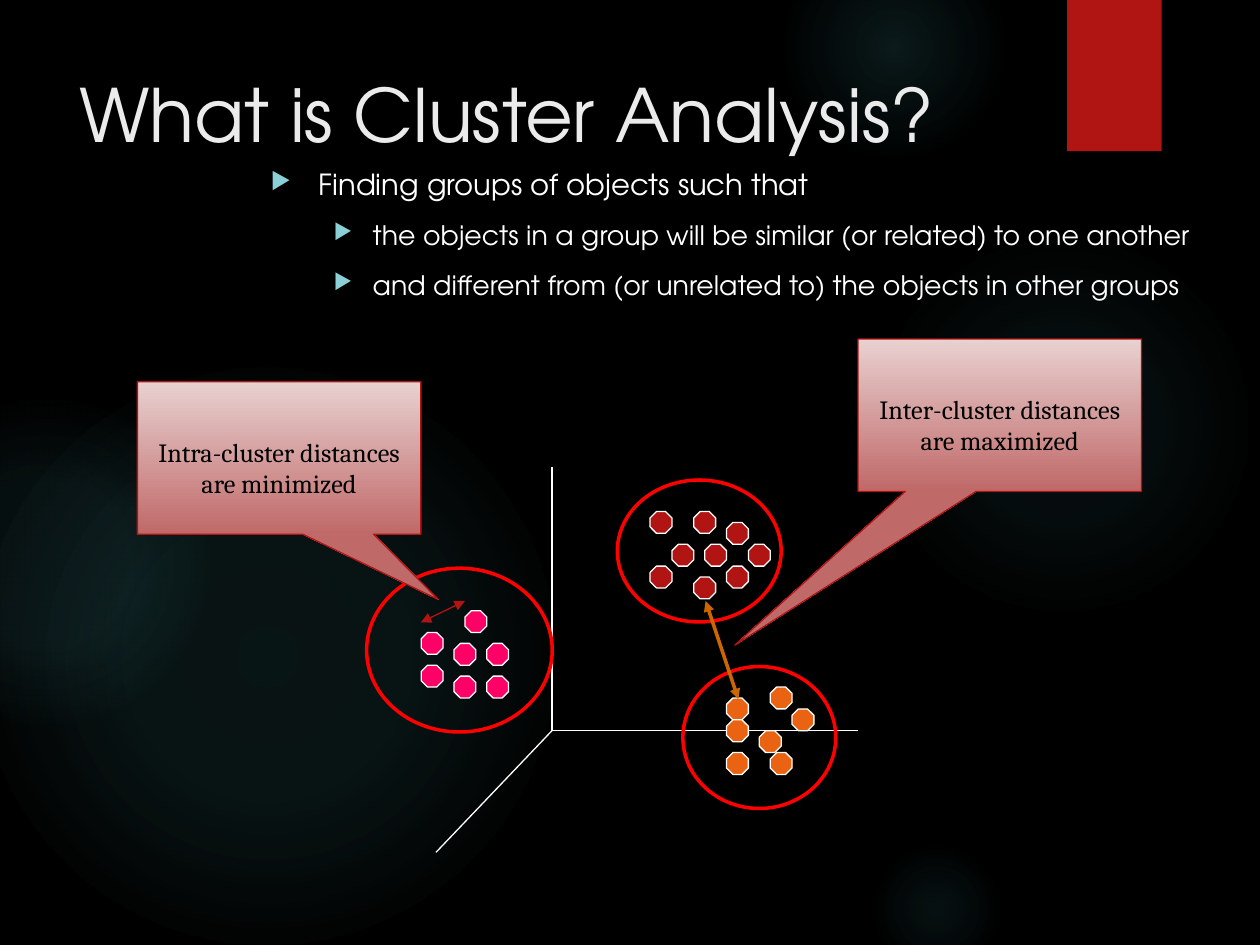
from lxml import etree
from pptx import Presentation
from pptx import util as u
from pptx.dml.color import RGBColor
from pptx.enum import shapes, text
from pptx.oxml import parse_xml
from pptx.oxml.ns import qn

BLACK = RGBColor(0, 0, 0)
WHITE = RGBColor(255, 255, 255)
PALE = RGBColor(0xEB, 0xEB, 0xEB)
RED = RGBColor(0xB0, 0x15, 0x13)
RING = RGBColor(255, 0, 0)
PINK = RGBColor(255, 0, 0x66)
ORANGE = RGBColor(0xEA, 0x63, 0x12)
BROWN = RGBColor(0xCC, 0x66, 0)
TEAL = RGBColor(0x50, 0xB9, 0xC1)
AQUA = RGBColor(0x8A, 0xD0, 0xD6)
ROSE = RGBColor(0xE8, 0xD1, 0xD0)
CLAY = RGBColor(0xC0, 0x69, 0x69)
SANS, SERIF = "TeX Gyre Adventor", "Cambria"
NS = 'xmlns:a="http://schemas.openxmlformats.org/drawingml/2006/main"'
KIND = shapes.MSO_SHAPE

# The slide is a grid of 100 columns by 75 rows of square cells.
prs = Presentation()
prs.slide_width, prs.slide_height = u.Inches(10), u.Inches(7.5)
CELL = prs.slide_width / 100
STEP = 5.2 / 6  # spacing of the dot lattice, in cells
slide = prs.slides.add_slide(prs.slide_layouts[6])


def emu(*cells):
    """Turn grid cells into slide lengths."""
    return [u.Emu(round(n * CELL)) for n in cells]


def shape(kind, box, fill=None, line=None, width=0.75):
    """Add a preset shape with a plain fill and line."""
    item = slide.shapes.add_shape(kind, *emu(*box))
    item.shadow.inherit = False
    if fill is None:
        item.fill.background()
    else:
        item.fill.solid()
        item.fill.fore_color.rgb = fill
    if line is None:
        item.line.fill.background()
    else:
        item.line.color.rgb = line
        item.line.width = u.Pt(width)
    return item


def line(start, end, color, width=0.75, arrows=False):
    """Draw a straight line, with a head at both ends if asked."""
    item = slide.shapes.add_connector(
        shapes.MSO_CONNECTOR.STRAIGHT, *emu(*start, *end))
    item.line.color.rgb = color
    item.line.width = u.Pt(width)
    props = item._element.spPr
    if arrows:
        for end_tag in ("a:headEnd", "a:tailEnd"):
            etree.SubElement(props.find(qn("a:ln")), qn(end_tag), type="triangle")
    etree.SubElement(props, qn("a:effectLst"))


def write(para, words, size=15, font=SANS, color=WHITE, before=0, align=None):
    """Put formatted words in a paragraph."""
    para.alignment = align
    para.space_before = u.Pt(before)
    run = para.add_run()
    run.text = words
    run.font.size, run.font.name = u.Pt(size), font
    run.font.color.rgb = color


def frame(box):
    """Add a wrapping text box and return its frame."""
    area = slide.shapes.add_textbox(*emu(*box)).text_frame
    area.word_wrap = True
    return area


def glow(box, stops):
    """Add a round glow; stops pair a position with an opacity, in percent."""
    item = shape(KIND.OVAL, box)
    marks = "".join(
        f'<a:gs pos="{pos * 1000}"><a:srgbClr val="{TEAL}">'
        f'<a:alpha val="{alpha * 1000}"/></a:srgbClr></a:gs>'
        for pos, alpha in stops)
    props = item._element.spPr
    props.replace(props.find(qn("a:noFill")), parse_xml(
        f'<a:gradFill {NS} rotWithShape="1"><a:gsLst>{marks}</a:gsLst>'
        '<a:path path="circle"><a:fillToRect l="50000" t="50000" r="50000" '
        'b="50000"/></a:path></a:gradFill>'))


def backdrop():
    """Paint the dark background, its glows and the red tab."""
    fill = slide.background.fill
    fill.solid()
    fill.fore_color.rgb = BLACK
    for x, y, size, core, mid, edge in (
            (68.9, 18.3, 30.8, 7, 6, 69), (62.2, -5, 17.5, 14, 7, 73),
            (68.9, 66.7, 10.8, 9, 5, 66), (-1.7, 29.2, 45.8, 11, 10, 75),
            (-9.2, 31.7, 25.8, 8, 8, 72)):
        glow((x, y, size, size), ((0, core), (36, mid), (edge, 0)))
    shape(KIND.RECTANGLE, (84.7, 0, 7.5, 12), RED)


def bullets(box, items):
    """List (level, words, size) items with triangle bullets."""
    area = frame(box)
    for i, (level, words, size) in enumerate(items):
        para = area.add_paragraph() if i else area.paragraphs[0]
        para.level = level
        write(para, words, size, before=10 if i else 0)
        left, hang = ((0.38, 0.38), (0.81, 0.31))[level]
        props = para._p.get_or_add_pPr()
        props.set("marL", str(u.Inches(left)))
        props.set("indent", str(-u.Inches(hang)))
        for mark in (f'<a:buClr {NS}><a:srgbClr val="{AQUA}"/></a:buClr>',
                     f'<a:buSzPct {NS} val="80000"/>',
                     f'<a:buChar {NS} char="\u25b6"/>'):
            props.append(parse_xml(mark))


def axes(x, y):
    """Draw three axes from their origin."""
    for dx, dy in ((0, -20.9), (24.3, 0), (-9.2, 9.65)):
        line((x, y), (x + dx, y + dy), WHITE)


def cluster(x, y, cols, rows, color, dots):
    """Draw a ring and its dots, all measured in lattice steps."""
    for col, row in dots:
        dot = shape(KIND.OCTAGON, (x + col * STEP, y + row * STEP - 0.1,
                                   2 * STEP, 2 * STEP), color, WHITE)
        dot.adjustments[0] = 0.293
    shape(KIND.OVAL, (x, y, cols * STEP, rows * STEP), None, RING, 2)


def callout(x, y, tip, words):
    """Add a shaded callout whose tip is a share of its size."""
    item = shape(KIND.RECTANGULAR_CALLOUT, (x, y, 22.5, 12.1), ROSE, RED)
    item.adjustments[0], item.adjustments[1] = tip
    item.fill.gradient()
    item.fill.gradient_angle = 270
    for stop, color, pos in zip(item.fill.gradient_stops, (ROSE, CLAY), (0, 1)):
        stop.color.rgb, stop.position = color, pos
    area = item.text_frame
    area.word_wrap = True
    area.vertical_anchor = text.MSO_ANCHOR.MIDDLE
    area.margin_top = u.Inches(0.2)
    write(area.paragraphs[0], words, 15, SERIF, BLACK,
          align=text.PP_ALIGN.CENTER)


backdrop()
write(frame((5.3, 5, 77.2, 15.3)).paragraphs[0],
      "What is Cluster Analysis?", 42, color=PALE)
bullets((20.5, 12.7, 79.5, 10.6), (
    (0, "Finding groups of objects such that", 16.6),
    (1, "the objects in a group will be similar (or related) to one another", 15.3),
    (1, "and different from (or unrelated to) the objects in other groups", 15.3)))
axes(43.8, 58)
cluster(49, 38.1, 15, 13, RED, (
    (5, 6), (8, 6), (7, 3), (7, 9), (12, 6), (10, 4), (3, 3), (10, 8), (3, 8)))
cluster(29.1, 45.1, 17, 15, PINK, (
    (5, 6), (8, 7), (8, 10), (11, 7), (9, 4), (11, 10), (5, 9)))
cluster(54.2, 52.9, 14, 13, ORANGE, (
    (4, 3), (10, 4), (7, 6), (4, 8), (8, 8), (4, 5), (8, 2)))
line((58.6, 55.5), (56, 47.7), BROWN, 2, True)
line((33.4, 49.4), (36.9, 47.7), RED, arrows=True)
callout(68.1, 26.9, (-0.935, 1.509), "Inter-cluster distances are maximized")
callout(10.9, 30.3, (0.562, 0.929), "Intra-cluster distances are minimized")
prs.save("out.pptx")
